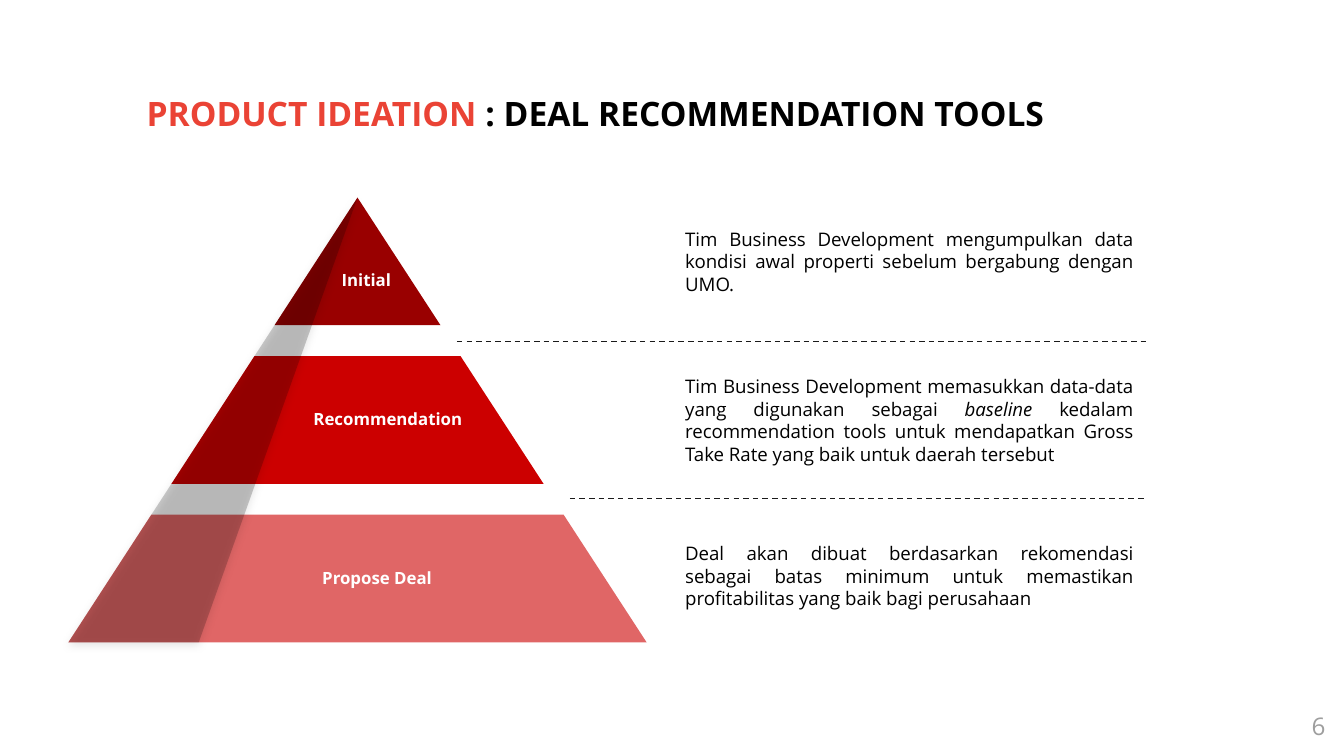
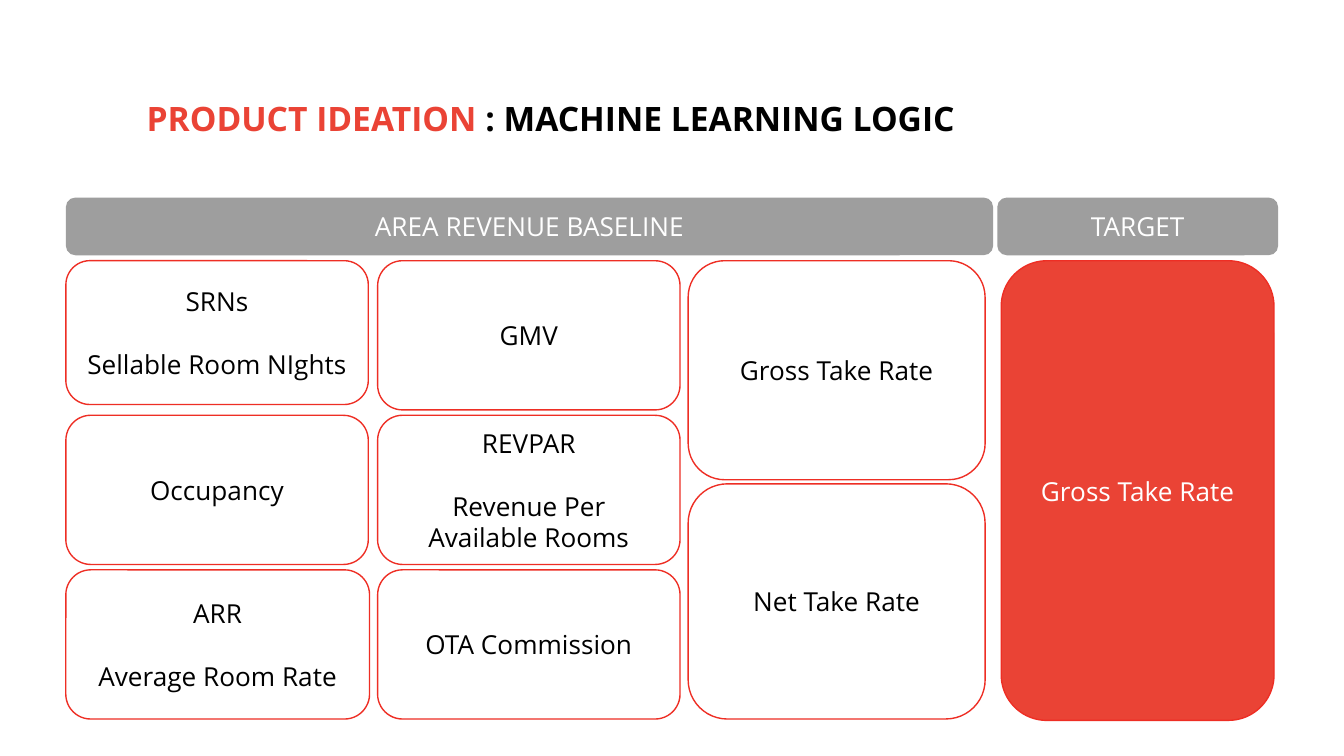
from dataclasses import dataclass

import lxml.etree
import pptx
import pptx.dml.color
import pptx.enum.dml
import pptx.enum.shapes
import pptx.enum.text
import pptx.oxml.ns
import pptx.shapes.autoshape
import pptx.shapes.shapetree
import pptx.slide
import pptx.text.text
import pptx.util
from pptx.util import Inches

FONT = "Open Sans"
COLORS = {
    "accent": "EA4335",
    "outline": "EE2E24",
    "gray": "9E9E9E",
    "black": "000000",
    "white": "FFFFFF",
    "dash": "1A1A1A",
    "top": "990000",
    "middle": "CC0000",
    "base": "E06666",
}
ALIGN = pptx.enum.text.PP_ALIGN
ANCHOR = pptx.enum.text.MSO_ANCHOR

SLIDE_WIDTH = Inches(10)
SLIDE_HEIGHT = SLIDE_WIDTH * 9 // 16

APEX_X, APEX_Y = 2.66, 1.47
HALF_WIDTH_PER_HEIGHT = 0.65
TIER_HEIGHT, TIER_PITCH = 0.95, 1.18
PYRAMID_BOTTOM = APEX_Y + 2 * TIER_PITCH + TIER_HEIGHT
SHADE_BASE_WIDTH = 0.97

COLUMN_LEFTS = (0.49, 2.81, 5.12)
GRID_TOP, ROW_PITCH = 1.94, 1.15
CELL_WIDTH, CELL_HEIGHT = 2.25, 1.11


@dataclass(frozen=True)
class Box:
    left: float
    top: float
    width: float
    height: float

    def emu(self) -> tuple:
        return tuple(Inches(v) for v in (self.left, self.top, self.width, self.height))


@dataclass(frozen=True)
class Piece:
    text: str
    color: str = "black"
    italic: bool = False


@dataclass(frozen=True)
class Tier:
    label: str
    label_left: float
    label_top: float
    color: str
    description: tuple[Piece, ...]
    description_top: float


@dataclass(frozen=True)
class Card:
    lines: tuple[str, ...]
    box: Box
    fill: str | None = None
    outline: str | None = "outline"
    color: str = "black"


def grid_card(column: int, row: int, *lines: str, width: float = CELL_WIDTH,
              height: float = CELL_HEIGHT) -> Card:
    top = GRID_TOP + row * ROW_PITCH
    return Card(lines, Box(COLUMN_LEFTS[column], top, width, height))


TIERS = (
    Tier("Initial", 1.83, 1.86, "top", (
        Piece("Tim Business Development mengumpulkan data kondisi awal properti "
              "sebelum bergabung dengan UMO."),
    ), 1.59),
    Tier("Recommendation", 1.99, 2.9, "middle", (
        Piece("Tim Business Development memasukkan data-data yang digunakan sebagai "),
        Piece("baseline ", italic=True),
        Piece("kedalam recommendation tools untuk mendapatkan Gross Take Rate "
              "yang baik untuk daerah tersebut"),
    ), 2.77),
    Tier("Propose Deal", 1.91, 4.08, "base", (
        Piece("Deal akan dibuat berdasarkan rekomendasi sebagai batas minimum "
              "untuk memastikan profitabilitas yang baik bagi perusahaan"),
    ), 3.93),
)
DIVIDERS = ((3.4, 2.54), (4.24, 3.71))
DIVIDER_RIGHT = 8.53

CARDS = (
    Card(("AREA REVENUE BASELINE",), Box(0.49, 1.47, 6.9, 0.43), "gray", None, "white"),
    Card(("TARGET",), Box(7.42, 1.47, 2.09, 0.43), "gray", None, "white"),
    Card(("Gross Take Rate",), Box(7.45, GRID_TOP, 2.03, 3.42), "accent", color="white"),
    grid_card(0, 0, "SRNs", "Sellable Room NIghts", height=1.07),
    grid_card(0, 1, "Occupancy"),
    grid_card(0, 2, "ARR", "Average Room Rate", width=2.26),
    grid_card(1, 0, "GMV"),
    grid_card(1, 1, "REVPAR", "Revenue Per Available Rooms"),
    grid_card(1, 2, "OTA Commission"),
    grid_card(2, 0, "Gross Take Rate", width=2.21, height=1.63),
    Card(("Net Take Rate",), Box(COLUMN_LEFTS[2], 3.6, 2.21, 1.75)),
)


def rgb(name: str) -> pptx.dml.color.RGBColor:
    return pptx.dml.color.RGBColor.from_string(COLORS[name])


def set_frame(frame: pptx.text.text.TextFrame, anchor: ANCHOR) -> None:
    frame.word_wrap = True
    frame.auto_size = pptx.enum.text.MSO_AUTO_SIZE.NONE
    frame.vertical_anchor = anchor
    frame.margin_left = frame.margin_right = Inches(0.1)
    frame.margin_top = frame.margin_bottom = Inches(0.1)


def style_run(run, size: float, color: str, bold: bool = False, italic: bool = False) -> None:
    run.font.name = FONT
    run.font.size = pptx.util.Pt(size)
    run.font.bold = bold
    run.font.italic = italic
    run.font.color.rgb = rgb(color)


def write_pieces(frame: pptx.text.text.TextFrame, pieces: tuple[Piece, ...], size: float,
                 align: ALIGN, bold: bool = False, anchor: ANCHOR = ANCHOR.MIDDLE) -> None:
    """Fill a frame with one paragraph made of differently styled runs."""
    set_frame(frame, anchor)
    paragraph = frame.paragraphs[0]
    paragraph.alignment = align
    for piece in pieces:
        run = paragraph.add_run()
        run.text = piece.text
        style_run(run, size, piece.color, bold, piece.italic)


def add_text(shapes: pptx.shapes.shapetree.SlideShapes, box: Box, pieces: tuple[Piece, ...],
             size: float, align: ALIGN, bold: bool = False,
             anchor: ANCHOR = ANCHOR.MIDDLE) -> None:
    write_pieces(shapes.add_textbox(*box.emu()).text_frame, pieces, size, align, bold, anchor)


def add_titled_slide(prs, topic: str, top: float) -> pptx.slide.Slide:
    slide = prs.slides.add_slide(prs.slide_layouts.get_by_name("Title Only"))
    title = slide.shapes.title
    title.left, title.top, title.width, title.height = Box(0.99, top, 8.01, 0.36).emu()
    pieces = (Piece("PRODUCT IDEATION", "accent"), Piece(f" : {topic}"))
    write_pieces(title.text_frame, pieces, 18, ALIGN.LEFT, bold=True)
    return slide


def add_polygon(shapes, points: list[tuple[float, float]],
                color: str) -> pptx.shapes.autoshape.Shape:
    corners = [(Inches(x), Inches(y)) for x, y in points]
    builder = shapes.build_freeform(*corners[0])
    builder.add_line_segments(corners[1:], close=True)
    polygon = builder.convert_to_shape()
    polygon.shadow.inherit = False
    polygon.fill.solid()
    polygon.fill.fore_color.rgb = rgb(color)
    polygon.line.fill.background()
    return polygon


def add_xml(parent, tag: str, **attributes: str):
    element = lxml.etree.SubElement(parent, pptx.oxml.ns.qn(tag))
    for key, value in attributes.items():
        element.set(key, value)
    return element


def make_translucent_with_shadow(shape: pptx.shapes.autoshape.Shape) -> None:
    properties = shape.element.spPr
    fill_color = properties.find(".//" + pptx.oxml.ns.qn("a:srgbClr"))
    add_xml(fill_color, "a:alpha", val="20000")
    effects = properties.find(pptx.oxml.ns.qn("a:effectLst"))
    shadow = add_xml(effects, "a:outerShdw", blurRad=str(pptx.util.Pt(4.5)),
                     dist=str(pptx.util.Pt(1.5)), dir="5400000", algn="bl", rotWithShape="0")
    shadow_color = add_xml(shadow, "a:srgbClr", val=COLORS["black"])
    add_xml(shadow_color, "a:alpha", val="50000")


def edges(y: float) -> tuple[float, float]:
    """Return the left and right sides of the pyramid at height y."""
    half = (y - APEX_Y) * HALF_WIDTH_PER_HEIGHT
    return APEX_X - half, APEX_X + half


def add_pyramid(slide: pptx.slide.Slide) -> None:
    parts = slide.shapes.add_group_shape().shapes
    for index, tier in enumerate(TIERS):
        top = APEX_Y + index * TIER_PITCH
        bottom = top + TIER_HEIGHT
        top_left, top_right = edges(top)
        left, right = edges(bottom)
        corners = [(top_left, top), (top_right, top), (right, bottom), (left, bottom)]
        add_polygon(parts, corners if index else corners[1:], tier.color)

    base_left = edges(PYRAMID_BOTTOM)[0]
    shade = add_polygon(parts, [(APEX_X, APEX_Y), (base_left, PYRAMID_BOTTOM),
                                (base_left + SHADE_BASE_WIDTH, PYRAMID_BOTTOM)], "black")
    make_translucent_with_shadow(shade)

    for tier in TIERS:
        add_text(parts, Box(tier.label_left, tier.label_top, 1.79, 0.44),
                 (Piece(tier.label, "white"),), 9, ALIGN.CENTER, bold=True)


def add_divider(slide: pptx.slide.Slide, left: float, y: float) -> None:
    divider = slide.shapes.add_connector(pptx.enum.shapes.MSO_CONNECTOR.STRAIGHT, Inches(left),
                                         Inches(y), Inches(DIVIDER_RIGHT), Inches(y))
    divider.line.color.rgb = rgb("dash")
    divider.line.width = pptx.util.Pt(0.75)
    divider.line.dash_style = pptx.enum.dml.MSO_LINE.DASH
    add_xml(divider.element.spPr, "a:effectLst")


def add_card(slide: pptx.slide.Slide, card: Card) -> None:
    shape = slide.shapes.add_shape(pptx.enum.shapes.MSO_SHAPE.ROUNDED_RECTANGLE, *card.box.emu())
    shape.adjustments[0] = 0.167
    shape.shadow.inherit = False
    if card.fill:
        shape.fill.solid()
        shape.fill.fore_color.rgb = rgb(card.fill)
    else:
        shape.fill.background()
    if card.outline:
        shape.line.color.rgb = rgb(card.outline)
        shape.line.width = pptx.util.Pt(0.75)
    else:
        shape.line.fill.background()

    frame = shape.text_frame
    set_frame(frame, ANCHOR.MIDDLE)
    frame.text = "\n".join(card.lines)
    for index, paragraph in enumerate(frame.paragraphs):
        paragraph.alignment = ALIGN.CENTER
        if index:
            paragraph.space_before = pptx.util.Pt(17)
        for run in paragraph.runs:
            style_run(run, 14, card.color)


def build_deal_tools(prs) -> None:
    slide = add_titled_slide(prs, "DEAL RECOMMENDATION TOOLS", 0.66)
    add_pyramid(slide)
    for left, y in DIVIDERS:
        add_divider(slide, left, y)
    for tier in TIERS:
        add_text(slide.shapes, Box(5, tier.description_top, 3.53, 0.71),
                 tier.description, 10, ALIGN.JUSTIFY)
    add_text(slide.shapes, Box(9.36, 5.19, 0.6, 0.43), (Piece("6", "gray"),), 13,
             ALIGN.RIGHT, anchor=ANCHOR.TOP)


def build_learning_logic(prs) -> None:
    slide = add_titled_slide(prs, "MACHINE LEARNING LOGIC", 0.7)
    for card in CARDS:
        add_card(slide, card)


def main() -> None:
    prs = pptx.Presentation()
    prs.slide_width, prs.slide_height = SLIDE_WIDTH, SLIDE_HEIGHT
    build_deal_tools(prs)
    build_learning_logic(prs)
    prs.save("out.pptx")


if __name__ == "__main__":
    main()
